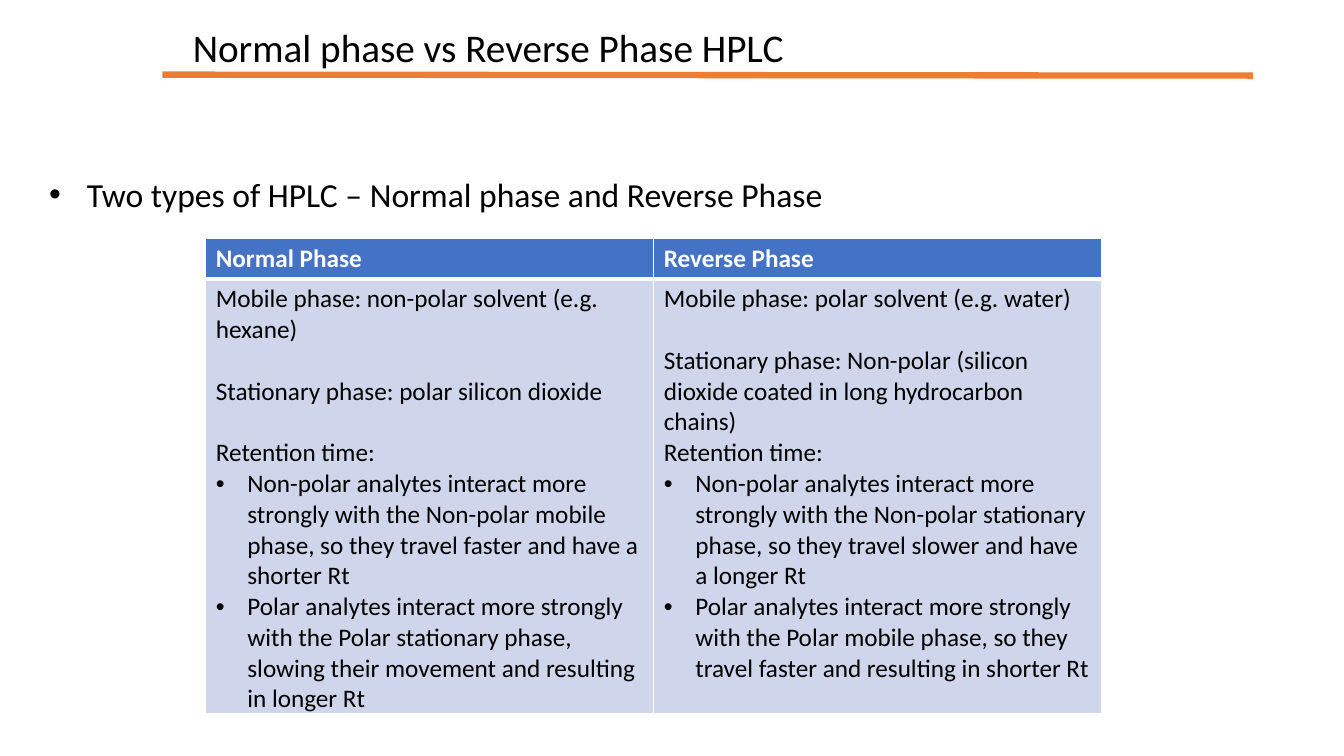
from dataclasses import dataclass

from lxml import etree
from pptx import Presentation
from pptx import util as u
from pptx.dml.color import RGBColor
from pptx.enum import shapes, text
from pptx.oxml import ns


@dataclass(frozen=True)
class Theme:
    font: str = "Calibri"
    ink: str = "000000"
    white: str = "FFFFFF"
    rule: str = "ED7D31"
    head: str = "4472C4"
    body: str = "CFD5EA"
    title: float = 28
    lead: float = 24
    cell: float = 18


def write(frame, parts, size, color, font, bold=False, indent=0):
    """Fill a frame; each part is (text, has bullet, space before)."""
    frame.word_wrap = True
    for i, (words, mark, gap) in enumerate(parts):
        para = frame.paragraphs[0] if i == 0 else frame.add_paragraph()
        para.alignment = text.PP_ALIGN.LEFT
        para.space_before = u.Pt(gap)
        if mark:
            props = para._p.get_or_add_pPr()
            props.set("marL", str(u.Pt(indent)))
            props.set("indent", str(-u.Pt(indent)))
            etree.SubElement(props, ns.qn("a:buFont"), typeface="Arial")
            etree.SubElement(props, ns.qn("a:buChar"), char="•")
        run = para.add_run()
        run.text = words
        run.font.name = font
        run.font.size = u.Pt(size)
        run.font.bold = bold
        run.font.color.rgb = RGBColor.from_string(color)


class Deck:
    def __init__(self, theme):
        self.theme = theme
        self.prs = Presentation()
        self.prs.slide_width = u.Pt(960)
        self.prs.slide_height = u.Pt(540)
        self.slide = self.prs.slides.add_slide(self.prs.slide_layouts[5])

    def title(self, words, left, top, width, height):
        box = self.slide.shapes.title
        box.left, box.top = u.Pt(left), u.Pt(top)
        box.width, box.height = u.Pt(width), u.Pt(height)
        frame = box.text_frame
        frame.vertical_anchor = text.MSO_ANCHOR.TOP
        frame.auto_size = text.MSO_AUTO_SIZE.SHAPE_TO_FIT_TEXT
        write(frame, [(words, False, 0)], self.theme.title,
              self.theme.ink, self.theme.font)

    def rule(self, x1, y1, x2, y2, width):
        line = self.slide.shapes.add_connector(
            shapes.MSO_CONNECTOR.STRAIGHT, u.Pt(x1), u.Pt(y1), u.Pt(x2), u.Pt(y2))
        line.line.color.rgb = RGBColor.from_string(self.theme.rule)
        line.line.width = u.Pt(width)
        etree.SubElement(line._element.spPr, ns.qn("a:effectLst"))

    def bullet(self, words, left, top, width, height):
        box = self.slide.shapes.add_textbox(
            u.Pt(left), u.Pt(top), u.Pt(width), u.Pt(height))
        box.text_frame.auto_size = text.MSO_AUTO_SIZE.SHAPE_TO_FIT_TEXT
        write(box.text_frame, [(words, True, 0)], self.theme.lead,
              self.theme.ink, self.theme.font, indent=27)

    def edge(self, cell, under):
        """Draw white cell borders, with the given width below."""
        props = cell._tc.get_or_add_tcPr()
        sides = {"lnL": 1, "lnR": 1, "lnT": 1, "lnB": under}
        for i, (side, width) in enumerate(sides.items()):
            line = etree.Element(ns.qn("a:" + side), w=str(u.Pt(width)))
            fill = etree.SubElement(line, ns.qn("a:solidFill"))
            etree.SubElement(fill, ns.qn("a:srgbClr"), val=self.theme.white)
            props.insert(i, line)

    def table(self, heads, bodies, left, top, width, rows):
        t = self.theme
        grid = self.slide.shapes.add_table(
            2, len(heads), u.Pt(left), u.Pt(top), u.Pt(width), u.Pt(sum(rows))).table
        for row, height in zip(grid.rows, rows):
            row.height = u.Pt(height)
        for col, (head, body) in enumerate(zip(heads, bodies)):
            kinds = [([(head, False, 0)], t.head, t.white, True, 3),
                     (body, t.body, t.ink, False, 1)]
            for row, (parts, fill, color, bold, under) in enumerate(kinds):
                cell = grid.cell(row, col)
                cell.fill.solid()
                cell.fill.fore_color.rgb = RGBColor.from_string(fill)
                self.edge(cell, under if row == 0 else 1)
                write(cell.text_frame, parts, t.cell, color, t.font,
                      bold=bold, indent=22.5)


def main():
    line = 22  # height of one line of cell text
    normal = [
        ("Mobile phase: non-polar solvent (e.g. hexane)", False, 0),
        ("Stationary phase: polar silicon dioxide", False, line),
        ("Retention time:", False, line),
        ("Non-polar analytes interact more strongly with the Non-polar mobile "
         "phase, so they travel faster and have a shorter Rt", True, 0),
        ("Polar analytes interact more strongly with the Polar stationary "
         "phase, slowing their movement and resulting in longer Rt", True, 0),
    ]
    reverse = [
        ("Mobile phase: polar solvent (e.g. water)", False, 0),
        ("Stationary phase: Non-polar (silicon dioxide coated in long "
         "hydrocarbon chains)", False, line),
        ("Retention time:", False, 0),
        ("Non-polar analytes interact more strongly with the Non-polar "
         "stationary phase, so they travel slower and have a longer Rt", True, 0),
        ("Polar analytes interact more strongly with the Polar mobile phase, "
         "so they travel faster and resulting in shorter Rt", True, 0),
    ]
    deck = Deck(Theme())
    deck.title("Normal phase vs Reverse Phase HPLC", 130.5, 13, 672.5, 41)
    deck.rule(116, 53.3, 895, 54, 4.5)
    deck.bullet("Two types of HPLC – Normal phase and Reverse Phase",
                28, 120.5, 883, 36)
    deck.table(["Normal Phase", "Reverse Phase"], [normal, reverse],
               147, 170, 640, [29.2, 309.8])
    deck.prs.save("out.pptx")


if __name__ == "__main__":
    main()
